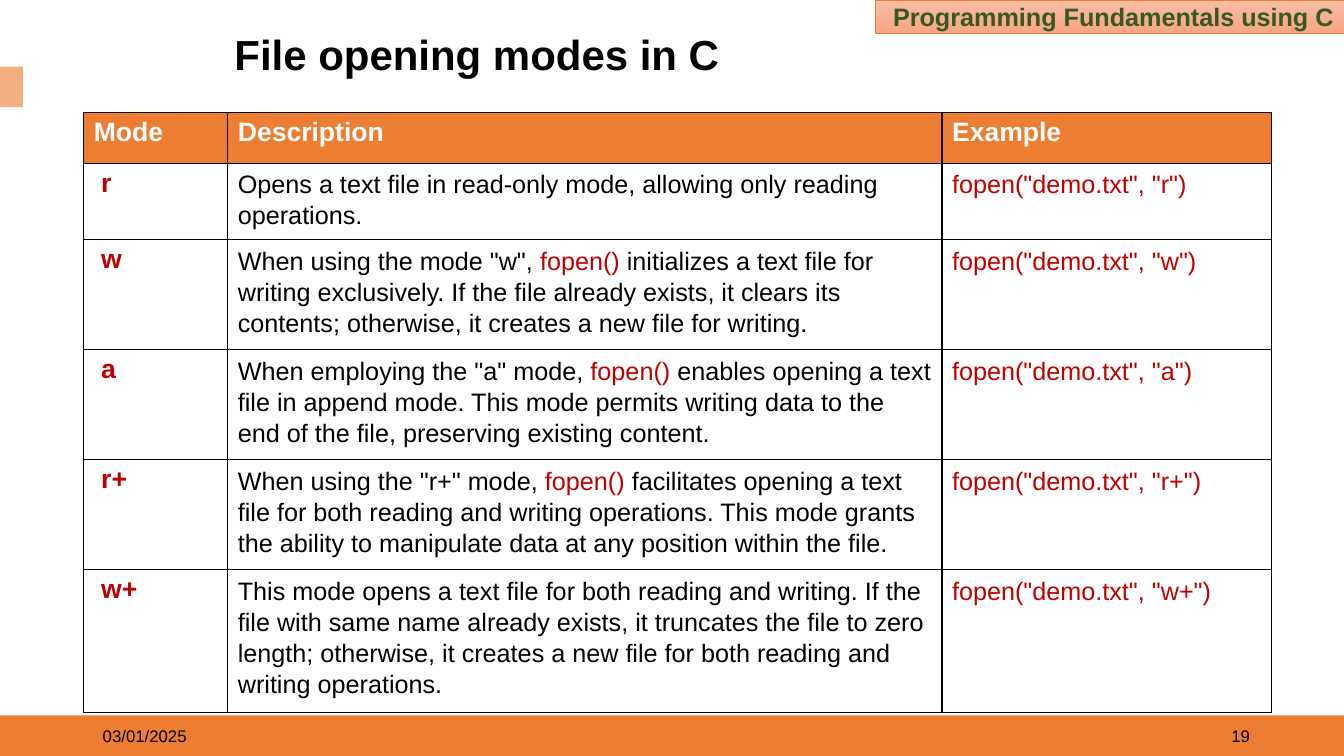
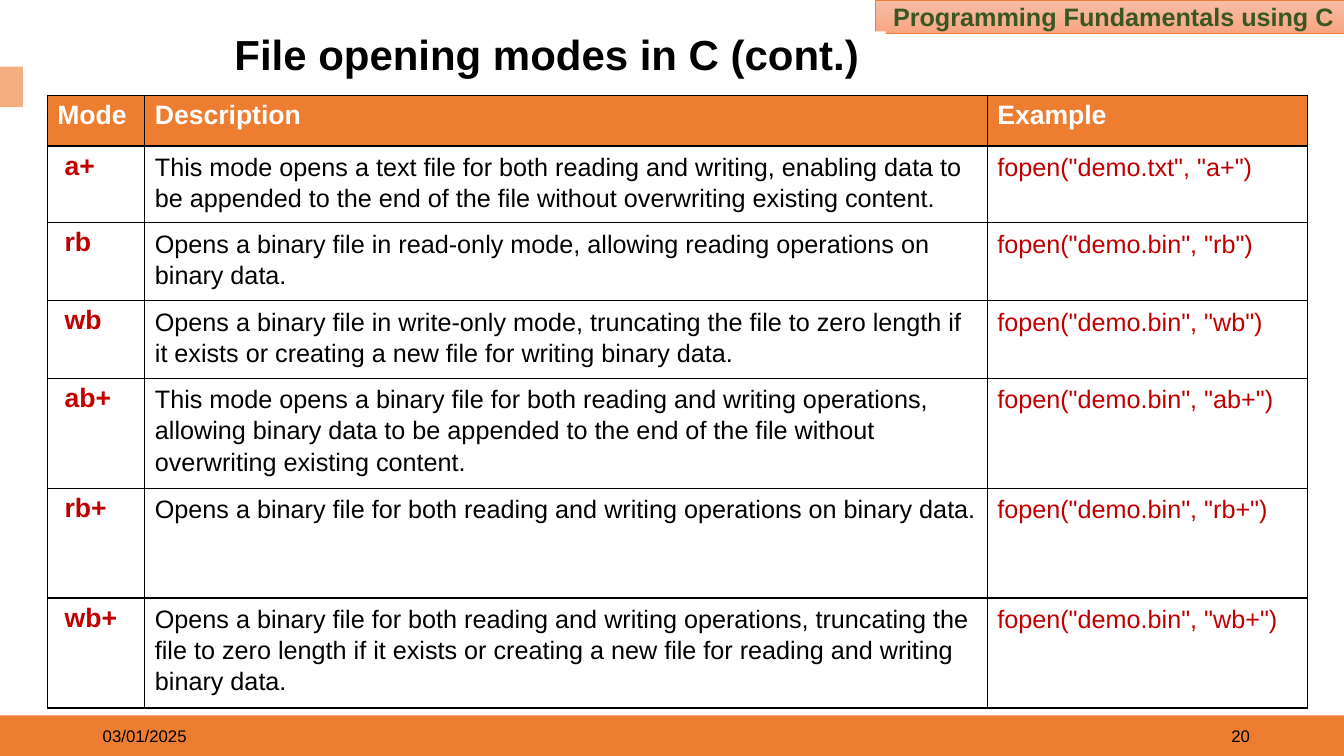
"""Builds two slides that tabulate the file opening modes of C."""
from dataclasses import dataclass

from lxml import etree
from pptx import Presentation
from pptx.dml.color import RGBColor
from pptx.enum.shapes import MSO_SHAPE
from pptx.enum.text import MSO_ANCHOR, PP_ALIGN
from pptx.oxml.ns import qn
from pptx.util import Cm, Pt

RECTANGLE = MSO_SHAPE.RECTANGLE
MIDDLE = MSO_ANCHOR.MIDDLE
LEFT, RIGHT = PP_ALIGN.LEFT, PP_ALIGN.RIGHT

ORANGE = RGBColor(0xED, 0x7D, 0x31)
LIGHT_ORANGE = RGBColor(0xF4, 0xAF, 0x80)
TAG_TOP = RGBColor(0xF7, 0xBD, 0xA5)
TAG_BOTTOM = RGBColor(0xF8, 0xA5, 0x82)
GREEN = RGBColor(0x38, 0x57, 0x23)
RED = RGBColor(0xC0, 0x00, 0x00)
BLACK = RGBColor(0x00, 0x00, 0x00)
WHITE = RGBColor(0xFF, 0xFF, 0xFF)

FONT = "Arial"
COURSE = "Programming Fundamentals using C"
DATE = "03/01/2025"
CALL = "fopen()"
HEADERS = ("Mode", "Description", "Example")
SLIDE_WIDTH, SLIDE_HEIGHT = 33.87, 19.05
BAND_HEIGHT = 1.02
BAND_TOP = SLIDE_HEIGHT - BAND_HEIGHT
ROW_HEIGHTS = (1.27, 1.52, 1.96, 1.96, 1.52, 2.77, 2.77)
MODE_INDENT = 0.44


@dataclass(frozen=True)
class Box:
    left: float
    top: float
    width: float
    height: float

    def lengths(self) -> tuple:
        return Cm(self.left), Cm(self.top), Cm(self.width), Cm(self.height)


@dataclass(frozen=True)
class Mode:
    name: str
    description: str

    def example(self) -> str:
        extension = "bin" if "b" in self.name else "txt"
        return f'fopen("demo.{extension}", "{self.name}")'


@dataclass(frozen=True)
class Page:
    number: int
    title: str
    title_width: float
    table_left: float
    table_top: float
    columns: tuple[float, float, float]
    modes: tuple[Mode, ...]


PAGES = (
    Page(19, "File opening modes in C", 14.48, 2.11, 2.84, (3.63, 18, 8.3), (
        Mode("r", "Opens a text file in read-only mode, allowing only reading operations."),
        Mode("w", 'When using the mode "w", fopen() initializes a text file for writing '
                  "exclusively. If the file already exists, it clears its contents; "
                  "otherwise, it creates a new file for writing."),
        Mode("a", 'When employing the "a" mode, fopen() enables opening a text file in '
                  "append mode. This mode permits writing data to the end of the file, "
                  "preserving existing content."),
        Mode("r+", 'When using the "r+" mode, fopen() facilitates opening a text file for '
                   "both reading and writing operations. This mode grants the ability to "
                   "manipulate data at any position within the file."),
        Mode("w+", "This mode opens a text file for both reading and writing. If the file "
                   "with same name already exists, it truncates the file to zero length; "
                   "otherwise, it creates a new file for both reading and writing operations."),
    )),
    Page(20, "File opening modes in C (cont.)", 16.66, 1.19, 2.41, (2.46, 21.23, 8.08), (
        Mode("a+", "This mode opens a text file for both reading and writing, enabling data "
                   "to be appended to the end of the file without overwriting existing content."),
        Mode("rb", "Opens a binary file in read-only mode, allowing reading operations on "
                   "binary data."),
        Mode("wb", "Opens a binary file in write-only mode, truncating the file to zero "
                   "length if it exists or creating a new file for writing binary data."),
        Mode("ab+", "This mode opens a binary file for both reading and writing operations, "
                    "allowing binary data to be appended to the end of the file without "
                    "overwriting existing content."),
        Mode("rb+", "Opens a binary file for both reading and writing operations on binary "
                    "data."),
        Mode("wb+", "Opens a binary file for both reading and writing operations, truncating "
                    "the file to zero length if it exists or creating a new file for reading "
                    "and writing binary data."),
    )),
)


def format_span(span, size: float, color: RGBColor, bold: bool = False) -> None:
    span.font.name = FONT
    span.font.size = Pt(size)
    span.font.bold = bold
    span.font.color.rgb = color


def add_line(parent, tag: str, color: RGBColor, width: float):
    line = etree.Element(qn(tag), w=str(Pt(width)))
    fill = etree.SubElement(line, qn("a:solidFill"))
    etree.SubElement(fill, qn("a:srgbClr"), val=str(color))
    parent.insert(len(parent) if tag != "a:ln" else 0, line)


def add_rectangle(slide, box: Box, color: RGBColor):
    shape = slide.shapes.add_shape(RECTANGLE, *box.lengths())
    shape.shadow.inherit = False
    shape.fill.solid()
    shape.fill.fore_color.rgb = color
    shape.line.fill.background()
    return shape


def write(shape, text: str, size: float, color: RGBColor, bold: bool = False, align=LEFT):
    frame = shape.text_frame
    frame.word_wrap = True
    frame.vertical_anchor = MIDDLE
    frame.text = text
    para = frame.paragraphs[0]
    para.alignment = align
    format_span(para.runs[0], size, color, bold)
    return para


def add_tag(slide) -> None:
    tag = add_rectangle(slide, Box(22.07, 0, 11.8, 0.84), TAG_TOP)
    tag.fill.gradient()
    tag.fill.gradient_angle = 270
    for stop, color in zip(tag.fill.gradient_stops, (TAG_TOP, TAG_BOTTOM)):
        stop.color.rgb = color
    tag.line.color.rgb = ORANGE
    tag.line.width = Pt(0.5)
    para = write(tag, COURSE, 18, GREEN, True, RIGHT)
    add_line(para.runs[0].font._element, "a:ln", WHITE, 0.75)


def add_footer(slide, left: float, text: str, align) -> None:
    box = slide.shapes.add_textbox(*Box(left, BAND_TOP, 7.62, BAND_HEIGHT).lengths())
    write(box, text, 12, BLACK, align=align)


def add_frame(slide, page: Page) -> None:
    add_rectangle(slide, Box(0, BAND_TOP, SLIDE_WIDTH, BAND_HEIGHT), ORANGE)
    add_rectangle(slide, Box(0, 1.68, 0.58, 1.02), LIGHT_ORANGE)
    add_tag(slide)
    title = add_rectangle(slide, Box(5.66, 0.79, page.title_width, 1.3), WHITE)
    write(title, page.title, 30, BLACK, True).line_spacing = 0.9
    add_footer(slide, 24.13, str(page.number), RIGHT)
    add_footer(slide, 2.34, DATE, LEFT)


def fill_cell(cell, text: str, size: float, color: RGBColor, bold: bool = False,
              fill: RGBColor = WHITE, spacing: float = 1.0) -> None:
    properties = cell._tc.get_or_add_tcPr()
    for side in "LRTB":
        add_line(properties, f"a:ln{side}", BLACK, 1)
    cell.fill.solid()
    cell.fill.fore_color.rgb = fill
    para = cell.text_frame.paragraphs[0]
    para.line_spacing = spacing
    for part in text.partition(CALL):
        if part:
            span = para.add_run()
            span.text = part
            format_span(span, size, RED if part == CALL else color, bold)


def add_mode_table(slide, page: Page) -> None:
    heights = ROW_HEIGHTS[:len(page.modes) + 1]
    box = Box(page.table_left, page.table_top, sum(page.columns), sum(heights))
    table = slide.shapes.add_table(len(heights), len(HEADERS), *box.lengths()).table
    table.horz_banding = False
    for column, width in zip(table.columns, page.columns):
        column.width = Cm(width)
    for row, height in zip(table.rows, heights):
        row.height = Cm(height)
    for index, header in enumerate(HEADERS):
        fill_cell(table.cell(0, index), header, 19, WHITE, True, ORANGE)
    for index, mode in enumerate(page.modes, 1):
        name, description, example = table.rows[index].cells
        name.margin_left = Cm(MODE_INDENT)
        fill_cell(name, mode.name, 19, RED, True)
        fill_cell(description, mode.description, 18, BLACK, spacing=1.1)
        fill_cell(example, mode.example(), 18, RED, spacing=1.1)


def main() -> None:
    deck = Presentation()
    deck.slide_width, deck.slide_height = Cm(SLIDE_WIDTH), Cm(SLIDE_HEIGHT)
    for page in PAGES:
        slide = deck.slides.add_slide(deck.slide_layouts[6])
        add_frame(slide, page)
        add_mode_table(slide, page)
    deck.save("out.pptx")


if __name__ == "__main__":
    main()
